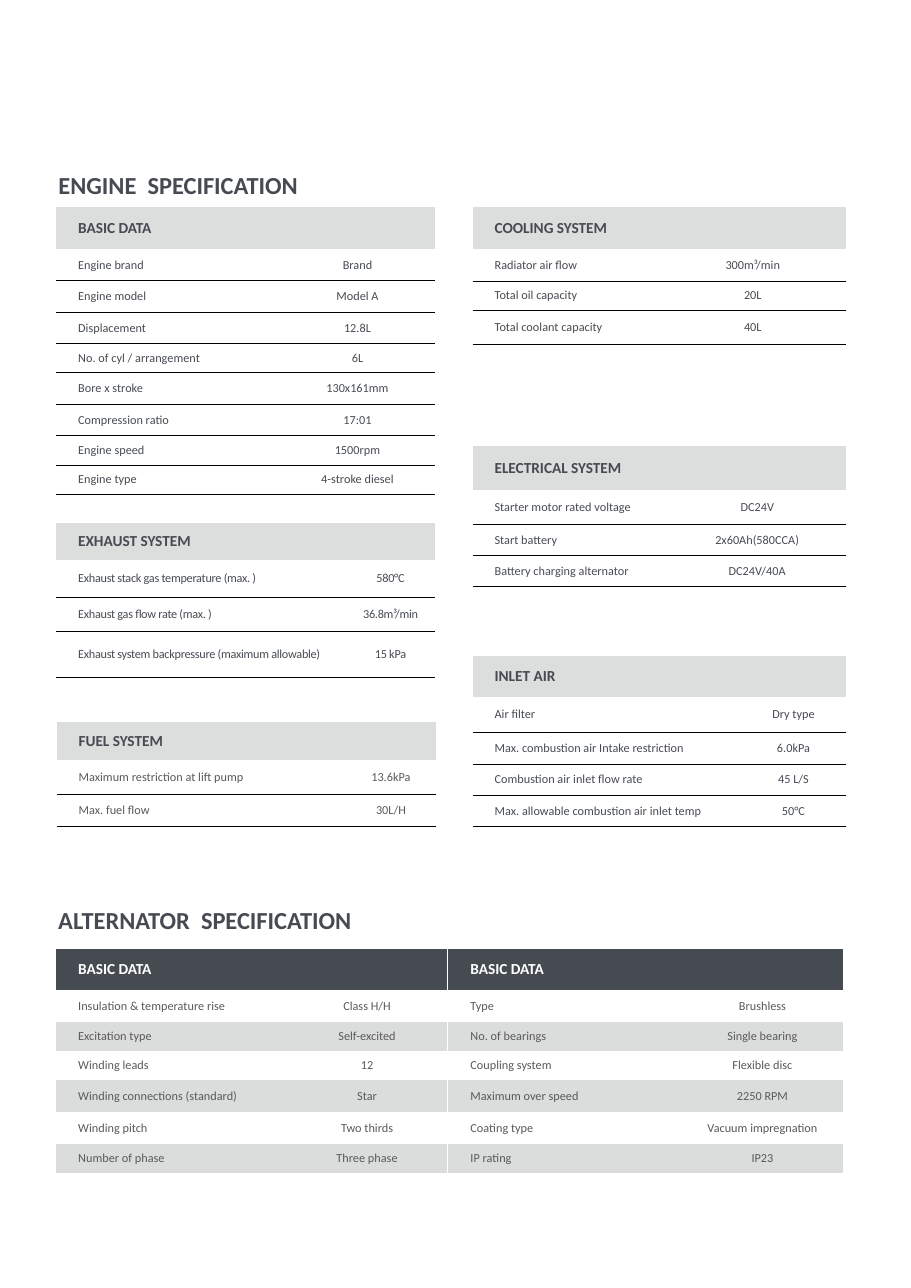
import pptx
import pptx.util
import pptx.dml.color
import pptx.enum.text
import pptx.oxml.ns
import lxml.etree

Pt = pptx.util.Pt
FONT = "Calibri"
COLORS = {
    "slate": "464B52",
    "grey": "595959",
    "header": "DCDDDD",
    "band": "DBDDDC",
    "white": "FFFFFF",
    "rule": "000000",
}


def rgb(name):
    return pptx.dml.color.RGBColor.from_string(COLORS[name])


def add_run(paragraph, text, size, color, bold=False, spacing=0):
    run = paragraph.add_run()
    run.text = text
    run.font.name = FONT
    run.font.size = Pt(size)
    run.font.bold = bold
    run.font.color.rgb = rgb(color)
    if spacing:
        run.font._element.set("spc", str(round(spacing * 100)))


def fill_heading(shape, words, left, top, width=244, height=33):
    shape.left, shape.top = Pt(left), Pt(top)
    shape.width, shape.height = Pt(width), Pt(height)
    frame = shape.text_frame
    frame.word_wrap = False
    frame.auto_size = pptx.enum.text.MSO_AUTO_SIZE.NONE
    frame.vertical_anchor = pptx.enum.text.MSO_ANCHOR.TOP
    paragraph = frame.paragraphs[0]
    paragraph.alignment = pptx.enum.text.PP_ALIGN.LEFT
    paragraph.line_spacing = 1.2
    first, second = words
    add_run(paragraph, first, 16, "slate", True)
    add_run(paragraph, " ", 16, "slate", True, 3.6)
    add_run(paragraph, second, 16, "slate", True)


def set_borders(cell, ruled_sides):
    properties = cell._tc.get_or_add_tcPr()
    for index, side in enumerate(("L", "R", "T", "B")):
        line = lxml.etree.Element(pptx.oxml.ns.qn(f"a:ln{side}"))
        if side in ruled_sides:
            line.set("w", str(Pt(0.5)))
            fill = lxml.etree.SubElement(line, pptx.oxml.ns.qn("a:solidFill"))
            color = lxml.etree.SubElement(fill, pptx.oxml.ns.qn("a:srgbClr"))
            color.set("val", COLORS["rule"])
        else:
            lxml.etree.SubElement(line, pptx.oxml.ns.qn("a:noFill"))
        properties.insert(index, line)


def fill_cell(cell, text, size, color, bold=False, centered=False, spacing=0):
    cell.vertical_anchor = pptx.enum.text.MSO_ANCHOR.MIDDLE
    cell.margin_left = Pt(6.5 if centered else 14.4)
    cell.margin_right = Pt(6.5)
    cell.margin_top = cell.margin_bottom = Pt(3.6)
    paragraph = cell.text_frame.paragraphs[0]
    if centered:
        paragraph.alignment = pptx.enum.text.PP_ALIGN.CENTER
    add_run(paragraph, text, size, color, bold, spacing)


def add_specification(slide, left, top, widths, heights, heading, entries,
                      color="slate", banded=False, spacing=0):
    frame = slide.shapes.add_table(len(heights), 2, Pt(left), Pt(top),
                                   Pt(sum(widths)), Pt(sum(heights)))
    table = frame.table
    table.first_row = table.horz_banding = False
    for column, width in zip(table.columns, widths):
        column.width = Pt(width)
    for row, height in zip(table.rows, heights):
        row.height = Pt(height)

    header = table.cell(0, 0)
    header.merge(table.cell(0, 1))
    fill_cell(header, heading, 10, "white" if banded else "slate", True)
    for cell in table.rows[0].cells:
        cell.fill.solid()
        cell.fill.fore_color.rgb = rgb("slate" if banded else "header")
        set_borders(cell, "")

    for row_index, entry in enumerate(entries, 1):
        for column_index, text in enumerate(entry):
            cell = table.cell(row_index, column_index)
            fill_cell(cell, text, 8, color, False, column_index == 1, spacing)
            if banded:
                cell.fill.solid()
                cell.fill.fore_color.rgb = rgb("white" if row_index % 2 else "band")
                set_borders(cell, "")
            else:
                cell.fill.background()
                set_borders(cell, "B" if row_index == 1 else "TB")


def add_engine_section(slide, left, top):
    fill_heading(slide.shapes.title, ("ENGINE", "SPECIFICATION"), left - 5.7, top)
    right = left + 272.2
    add_specification(
        slide, left, top + 31.7, (146.2, 101.6),
        (27.4, 20.6, 20.6, 20.6, 19, 21, 20, 19.4, 19.2), "BASIC DATA",
        [("Engine brand", "Brand"), ("Engine model", "Model A"),
         ("Displacement", "12.8L"), ("No. of cyl / arrangement", "6L"),
         ("Bore x stroke", "130x161mm"), ("Compression ratio", "17:01"),
         ("Engine speed", "1500rpm"), ("Engine type", "4-stroke diesel")])
    add_specification(
        slide, left, top + 237.8, (189.4, 58.4), (24.4, 24.4, 22.2, 30),
        "EXHAUST SYSTEM",
        [("Exhaust stack gas temperature (max. )", "580°C"),
         ("Exhaust gas flow rate (max. )", "36.8m³/min"),
         ("Exhaust system backpressure (maximum allowable)", "15 kPa")],
        spacing=-0.2)
    add_specification(
        slide, left + 0.3, top + 368, (189.4, 58.4), (25, 22.4, 20.8),
        "FUEL SYSTEM",
        [("Maximum restriction at lift pump", "13.6kPa"),
         ("Max. fuel flow", "30L/H")], color="grey")
    add_specification(
        slide, right, top + 31.7, (122.4, 121.6), (27.6, 20.8, 19, 22.4),
        "COOLING SYSTEM",
        [("Radiator air flow", "300m³/min"), ("Total oil capacity", "20L"),
         ("Total coolant capacity", "40L")])
    add_specification(
        slide, right, top + 187.9, (128.2, 115.8), (28.4, 22.8, 20.4, 20.2),
        "ELECTRICAL SYSTEM",
        [("Starter motor rated voltage", "DC24V"),
         ("Start battery", "2x60Ah(580CCA)"),
         ("Battery charging alternator", "DC24V/40A")])
    add_specification(
        slide, right, top + 325.2, (175.6, 68.4), (26.4, 23, 21, 20.4, 20.6),
        "INLET AIR",
        [("Air filter", "Dry type"),
         ("Max. combustion air Intake restriction", "6.0kPa"),
         ("Combustion air inlet flow rate", "45 L/S"),
         ("Max. allowable combustion air inlet temp", "50°C")])


def add_alternator_section(slide, left, top):
    heading = slide.shapes.add_textbox(0, 0, 0, 0)
    fill_heading(heading, ("ALTERNATOR", "SPECIFICATION"), left - 5.7, top)
    heights = (27, 21.2, 18.8, 19.2, 20.8, 20.6, 19)
    halves = [
        (0, (151.2, 104.2),
         [("Insulation & temperature rise", "Class H/H"),
          ("Excitation type", "Self-excited"), ("Winding leads", "12"),
          ("Winding connections (standard)", "Star"),
          ("Winding pitch", "Two thirds"), ("Number of phase", "Three phase")]),
        (256.4, (152.4, 105.8),
         [("Type", "Brushless"), ("No. of bearings", "Single bearing"),
          ("Coupling system", "Flexible disc"),
          ("Maximum over speed", "2250 RPM"),
          ("Coating type", "Vacuum impregnation"), ("IP rating", "IP23")]),
    ]
    for offset, widths, entries in halves:
        add_specification(slide, left + offset, top + 36, widths, heights,
                          "BASIC DATA", entries, color="grey", banded=True)


def main():
    presentation = pptx.Presentation()
    presentation.slide_width = Pt(595.44)
    presentation.slide_height = Pt(841.68)
    slide = presentation.slides.add_slide(presentation.slide_layouts[5])
    add_engine_section(slide, 36.7, 103.7)
    add_alternator_section(slide, 36.7, 583.9)
    presentation.save("out.pptx")


if __name__ == "__main__":
    main()
